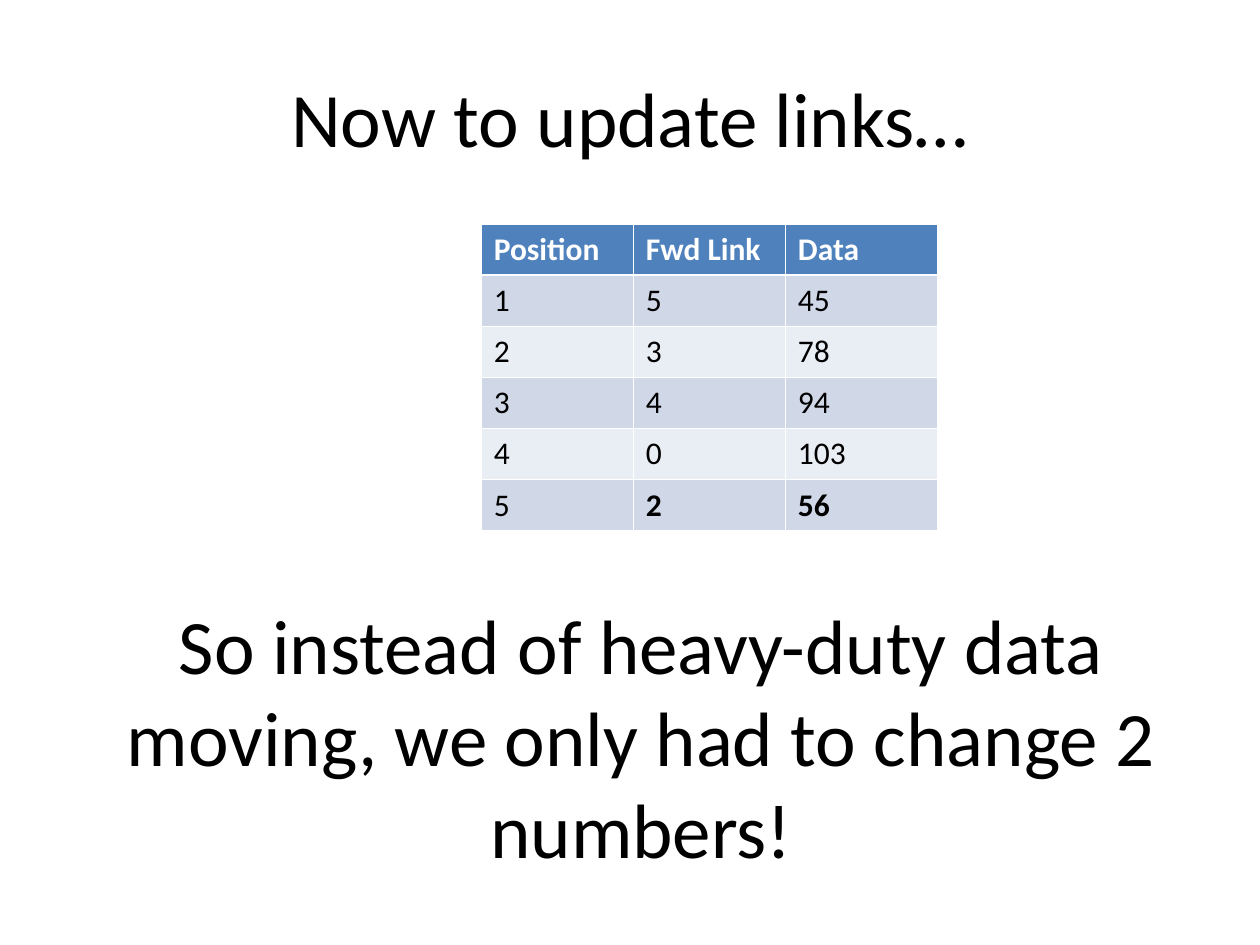
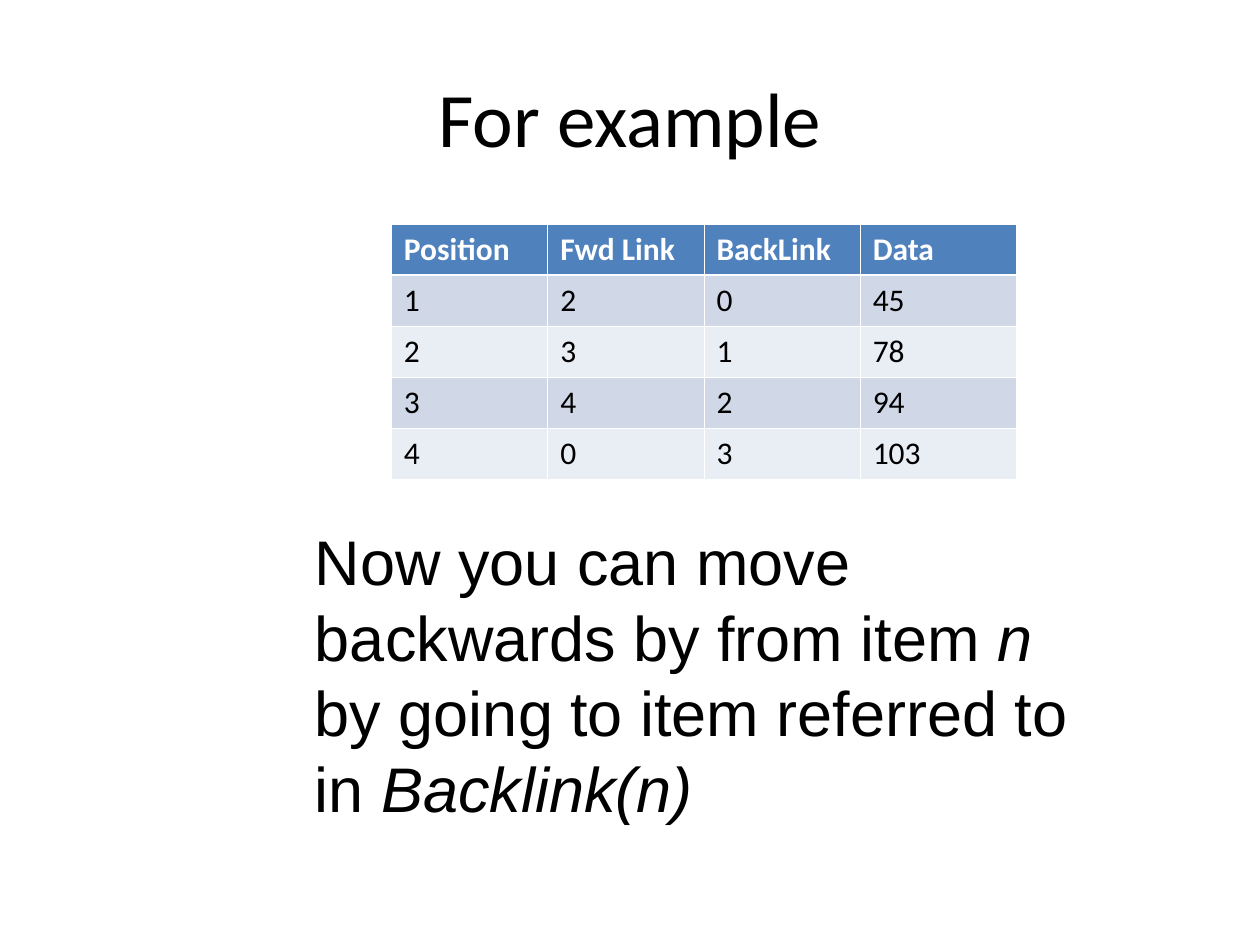
from lxml.etree import SubElement
from pptx import Presentation
from pptx.dml.color import RGBColor
from pptx.enum.text import MSO_ANCHOR, PP_ALIGN
from pptx.oxml.ns import qn
from pptx.util import Cm, Pt

COLOURS = {
    "text": "000000",
    "white": "FFFFFF",
    "header": "4F81BD",
    "odd row": "D0D8E8",
    "even row": "E9EDF4",
}
TABLE_TOP = 4.52
ROW_HEIGHT = 1.03
THIN, THICK = Pt(0.45), Pt(1.47)


def colour(name):
    return RGBColor.from_string(COLOURS[name])


def write(para, text, size=18, font="Calibri", ink="text", bold=False, italic=False):
    span = para.add_run()
    span.text = text
    span.font.size = Pt(size)
    span.font.name = font
    span.font.color.rgb = colour(ink)
    span.font.bold = bold
    span.font.italic = italic


def add_borders(cell, top, bottom):
    """Draw white cell edges; call before the fill is set, as the schema orders them."""
    properties = cell._tc.get_or_add_tcPr()
    for side, width in (("L", THIN), ("R", THIN), ("T", top), ("B", bottom)):
        line = SubElement(properties, qn(f"a:ln{side}"), w=str(int(width)))
        fill = SubElement(line, qn("a:solidFill"))
        SubElement(fill, qn("a:srgbClr"), val=COLOURS["white"])


class LinkedListDeck:
    def __init__(self):
        self.deck = Presentation()
        self.deck.slide_width, self.deck.slide_height = Cm(25.4), Cm(19.05)
        self.page = None

    def add_page(self, title):
        self.page = self.deck.slides.add_slide(self.deck.slide_layouts[5])
        box = self.page.shapes.title
        box.left, box.top, box.width, box.height = Cm(1.27), Cm(0.76), Cm(22.86), Cm(3.18)
        box.text_frame.vertical_anchor = MSO_ANCHOR.MIDDLE
        para = box.text_frame.paragraphs[0]
        para.alignment = PP_ALIGN.CENTER
        write(para, title, size=44)

    def add_link_table(self, left, width, rows, bold_cells=()):
        columns = len(rows[0])
        table = self.page.shapes.add_table(
            len(rows), columns, Cm(left), Cm(TABLE_TOP), Cm(width), Cm(ROW_HEIGHT * len(rows))
        ).table
        for row, values in enumerate(rows):
            header = row == 0
            fill = "header" if header else "odd row" if row % 2 else "even row"
            for column, value in enumerate(values):
                cell = table.cell(row, column)
                add_borders(
                    cell,
                    top=THICK if row == 1 else THIN,
                    bottom=THICK if header else THIN,
                )
                cell.fill.solid()
                cell.fill.fore_color.rgb = colour(fill)
                write(
                    cell.text_frame.paragraphs[0],
                    str(value),
                    ink="white" if header else "text",
                    bold=header or (row, column) in bold_cells,
                )

    def add_remark(self, left, top, width, height, parts, align=PP_ALIGN.LEFT,
                   anchor=MSO_ANCHOR.TOP, **text_format):
        """Add an unfilled outline holding one paragraph of (text, italic) parts."""
        right, bottom = left + width, top + height
        outline = self.page.shapes.build_freeform(Cm(left), Cm(top))
        outline.add_line_segments(
            [(Cm(x), Cm(y)) for x, y in ((right, top), (right, bottom), (left, bottom))]
        )
        box = outline.convert_to_shape()
        box.shadow.inherit = False
        box.fill.background()
        box.line.fill.background()
        frame = box.text_frame
        frame.word_wrap = True
        frame.vertical_anchor = anchor
        para = frame.paragraphs[0]
        para.alignment = align
        for text, italic in parts:
            write(para, text, italic=italic, **text_format)


def main():
    lists = LinkedListDeck()

    lists.add_page("Now to update links…")
    lists.add_link_table(
        9.7, 9.2,
        [
            ("Position", "Fwd Link", "Data"),
            (1, 5, 45),
            (2, 3, 78),
            (3, 4, 94),
            (4, 0, 103),
            (5, 2, 56),
        ],
        bold_cells={(5, 1), (5, 2)},
    )
    lists.add_remark(
        1.5, 11.73, 22.86, 6.2,
        [("So instead of heavy-duty data moving, we only had to change 2 numbers!", False)],
        align=PP_ALIGN.CENTER, anchor=MSO_ANCHOR.MIDDLE, size=44,
    )

    lists.add_page("For example")
    lists.add_link_table(
        7.89, 12.6,
        [
            ("Position", "Fwd Link", "BackLink", "Data"),
            (1, 2, 0, 45),
            (2, 3, 1, 78),
            (3, 4, 2, 94),
            (4, 0, 3, 103),
        ],
    )
    lists.add_remark(
        6.1, 10.41, 16, 6.35,
        [
            ("Now you can move backwards by from item ", False),
            ("n", True),
            (" by going to item referred to in ", False),
            ("Backlink(n)", True),
        ],
        size=36, font="Arial",
    )

    lists.deck.save("out.pptx")


if __name__ == "__main__":
    main()
